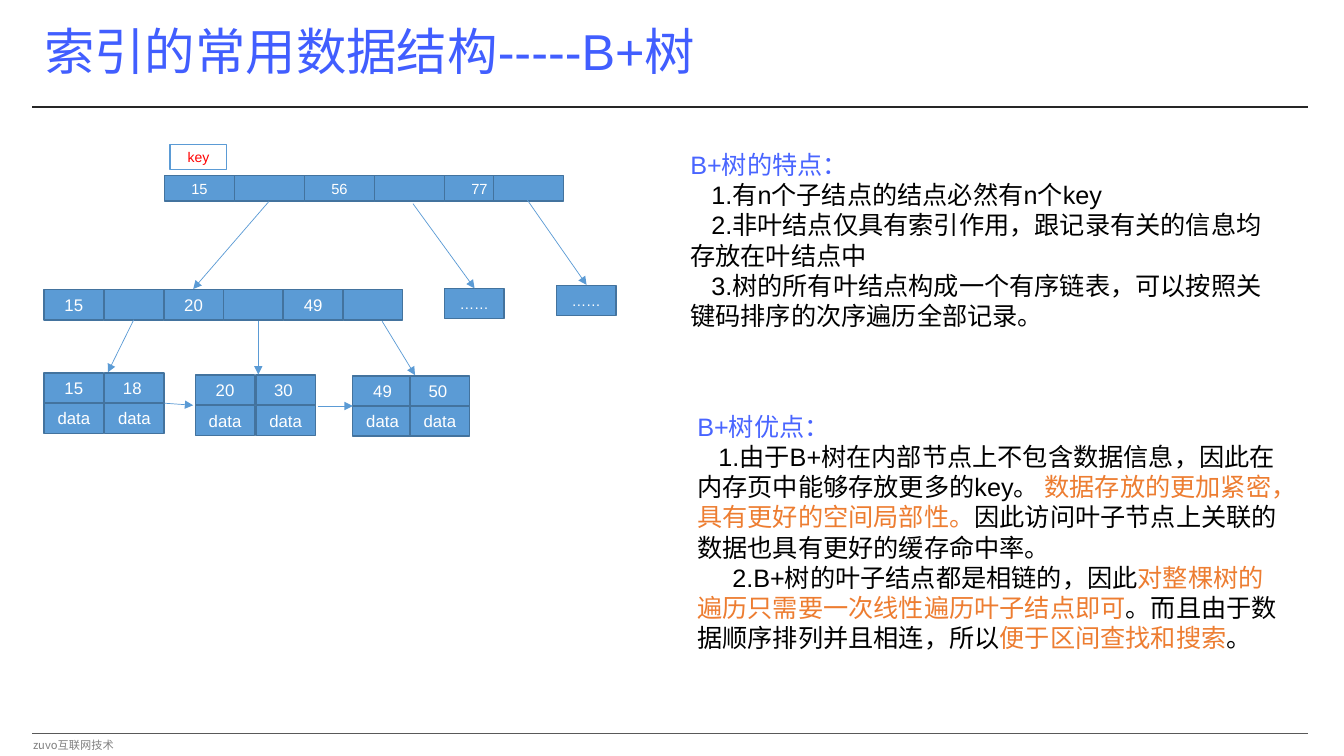
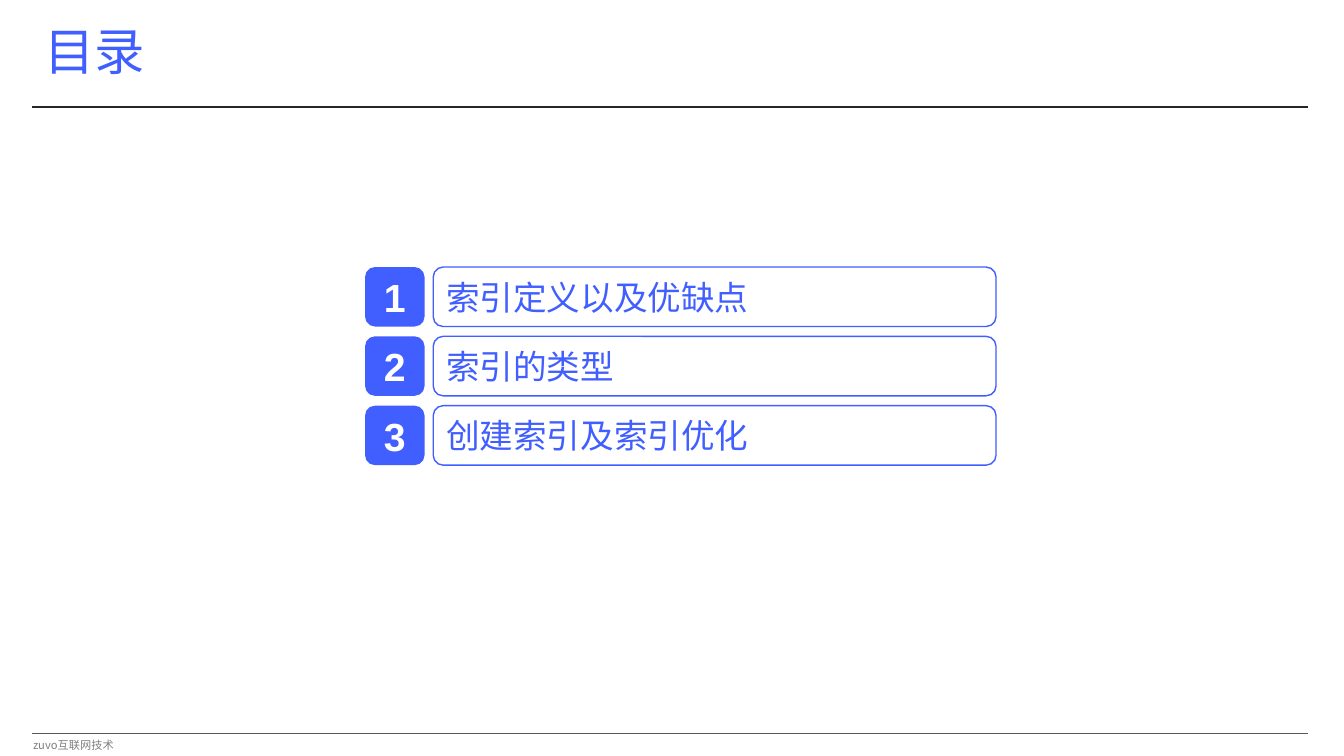
from dataclasses import dataclass

from lxml import etree
from pptx import Presentation
from pptx.dml.color import RGBColor
from pptx.enum import shapes, text
from pptx.oxml import ns
from pptx.util import Pt

BLUE, HEAD = "415EFF", "4965FF"
NODE, EDGE = "5B9BD5", "43739E"
WHITE, BLACK, ORANGE, RED = "FFFFFF", "000000", "ED7D31", "FF0000"
SANS, CJK = "Arial", "Noto Sans CJK SC"
LEFT, MID = text.PP_ALIGN.LEFT, text.PP_ALIGN.CENTER
RECT, ROUND = shapes.MSO_SHAPE.RECTANGLE, shapes.MSO_SHAPE.ROUNDED_RECTANGLE
CELL_W, CELL_H = 42.5, 21.5


@dataclass
class Box:
    x: float
    y: float
    w: float
    h: float

    def pts(self):
        return [Pt(v) for v in (self.x, self.y, self.w, self.h)]


@dataclass
class Para:
    runs: list[tuple[str, str]]
    indent: float = 0


@dataclass
class Row:
    """A row of equal node cells; blank keys leave pointer cells."""
    x: float
    y: float
    step: float
    w: float
    h: float
    size: float
    keys: list[str]


@dataclass
class Leaf:
    x: float
    y: float
    step: float
    keys: tuple[str, str]


ROWS = [
    Row(117.5, 125.5, 50, 50, 18, 10.5, ["15", "", "56", "", "77"]),
    Row(352.5, 125.5, 50, 50, 18, 10.5, [""]),
    Row(397.5, 204, 0, CELL_W, CELL_H, 10.5, ["……"]),
    Row(317.5, 206, 0, CELL_W, CELL_H, 10.5, ["……"]),
    Row(31.5, 207, 42.75, CELL_W, CELL_H, 12, ["15", "", "20", "", "49", ""]),
]
LEAVES = [
    Leaf(31.5, 266.5, 43.25, ("15", "18")),
    Leaf(139.5, 268, 43.25, ("20", "30")),
    Leaf(252, 268.5, 41, ("49", "50")),
]
ARROWS = [
    (192, 144, 138, 206.5), (295, 145.5, 339, 206), (375, 140.5, 419, 203.5),
    (95.5, 228.5, 77, 266), (184.5, 229.5, 184.5, 267.5), (273, 229.5, 296.5, 268),
    (117.5, 288, 138, 289.5), (227, 290, 252, 290),
]
TRAITS = [
    Para([("B+树的特点：", HEAD)]),
    Para([("1.有n个子结点的结点必然有n个key", BLACK)], 15),
    Para([("2.非叶结点仅具有索引作用，跟记录有关的信息均存放在叶结点中", BLACK)], 15),
    Para([("3.树的所有叶结点构成一个有序链表，可以按照关键码排序的次序遍历全部记录。", BLACK)], 15),
]
GAINS = [
    Para([("B+树优点：", HEAD)]),
    Para([("1.由于B+树在内部节点上不包含数据信息，因此在内存页中能够存放更多的key。 ", BLACK),
          ("数据存放的更加紧密，具有更好的空间局部性。", ORANGE),
          ("因此访问叶子节点上关联的数据也具有更好的缓存命中率。", BLACK)], 15),
    Para([("2.B+树的叶子结点都是相链的，因此", BLACK),
          ("对整棵树的遍历只需要一次线性遍历叶子结点即可", ORANGE),
          ("。而且由于数据顺序排列并且相连，所以", BLACK),
          ("便于区间查找和搜索", ORANGE), ("。", BLACK)], 25),
]
TOPICS = ["索引定义以及优缺点", "索引的类型", "创建索引及索引优化"]


def rgb(code: str) -> RGBColor:
    return RGBColor.from_string(code)


def write(shape, paras: list[Para], *, size: float, font=SANS, bold=False,
          align=LEFT, anchor=text.MSO_ANCHOR.TOP, space=1.0):
    frame = shape.text_frame
    frame.word_wrap = True
    frame.vertical_anchor = anchor
    for i, para in enumerate(paras):
        p = frame.add_paragraph() if i else frame.paragraphs[0]
        p.alignment, p.line_spacing = align, space
        if para.indent:
            p._p.get_or_add_pPr().set("indent", str(Pt(para.indent)))
        for words, hue in para.runs:
            run = p.add_run()
            run.text = words
            run.font.name, run.font.size, run.font.bold = font, Pt(size), bold
            run.font.color.rgb = rgb(hue)
            east = etree.SubElement(run._r.get_or_add_rPr(), ns.qn("a:ea"))
            east.set("typeface", CJK)


def label(slide, box: Box, paras: list[Para], **form):
    write(slide.shapes.add_textbox(*box.pts()), paras, **form)


def block(slide, box: Box, words="", *, kind=RECT, fill=NODE, edge=EDGE,
          hue=WHITE, size=12.0, align=MID, indent=0.0, bold=False):
    shape = slide.shapes.add_shape(kind, *box.pts())
    shape.shadow.inherit = False
    shape.fill.solid()
    shape.fill.fore_color.rgb = rgb(fill)
    if edge:
        shape.line.color.rgb = rgb(edge)
        shape.line.width = Pt(1)
    else:
        shape.line.fill.background()
    if words:
        write(shape, [Para([(words, hue)], indent)], size=size, bold=bold,
              align=align, anchor=text.MSO_ANCHOR.MIDDLE)


def link(slide, ends, hue: str, width: float, arrow=False):
    line = slide.shapes.add_connector(
        shapes.MSO_CONNECTOR.STRAIGHT, *[Pt(v) for v in ends])
    line.line.color.rgb = rgb(hue)
    line.line.width = Pt(width)
    if arrow:
        tail = etree.SubElement(line.line._get_or_add_ln(), ns.qn("a:tailEnd"))
        tail.set("type", "triangle")
    etree.SubElement(line._element.spPr, ns.qn("a:effectLst"))


def page(deck, title: str):
    """Add a slide with the shared title, rules and footer."""
    slide = deck.slides.add_slide(deck.slide_layouts[6])
    link(slide, (23, 76.5, 934, 76.5), "262626", 1)
    link(slide, (23, 524, 934, 524), "595959", 0.5)
    label(slide, Box(16.5, 524, 90, 17), [Para([("zuvo互联网技术", "808080")])],
          size=8, font=CJK)
    label(slide, Box(24.5, 0.5, 831, 76.5), [Para([(title, BLUE)])],
          size=36, anchor=text.MSO_ANCHOR.MIDDLE, space=0.9)
    return slide


def tree(deck):
    slide = page(deck, "索引的常用数据结构-----B+树")
    for row in ROWS:
        for i, key in enumerate(row.keys):
            block(slide, Box(row.x + i * row.step, row.y, row.w, row.h),
                  key, size=row.size)
    for leaf in LEAVES:
        for i, key in enumerate(leaf.keys):
            x = leaf.x + i * leaf.step
            block(slide, Box(x, leaf.y, CELL_W, CELL_H), key,
                  align=LEFT if i else MID, indent=6 * i)
            block(slide, Box(x, leaf.y + CELL_H, CELL_W, CELL_H), "data")
    for ends in ARROWS:
        link(slide, ends, NODE, 0.5, arrow=True)
    block(slide, Box(121.5, 103, 40.5, 18), "key",
          fill=WHITE, edge=NODE, hue=RED, size=10)
    label(slide, Box(486, 103, 433, 138), TRAITS, size=18)
    label(slide, Box(491, 290, 433, 204), GAINS, size=18)


def agenda(deck):
    slide = page(deck, "目录")
    for i, topic in enumerate(TOPICS):
        y = 190.75 + i * 49.5
        block(slide, Box(260.75, y, 42.5, 42.5), str(i + 1), kind=ROUND,
              fill=BLUE, edge="", size=28, bold=True)
        block(slide, Box(309.5, y, 402, 42.5), topic, kind=ROUND,
              fill=WHITE, edge=BLUE, hue=BLUE, size=24, align=LEFT)


def main():
    deck = Presentation()
    deck.slide_width, deck.slide_height = Pt(960), Pt(540)
    tree(deck)
    agenda(deck)
    deck.save("out.pptx")


if __name__ == "__main__":
    main()
